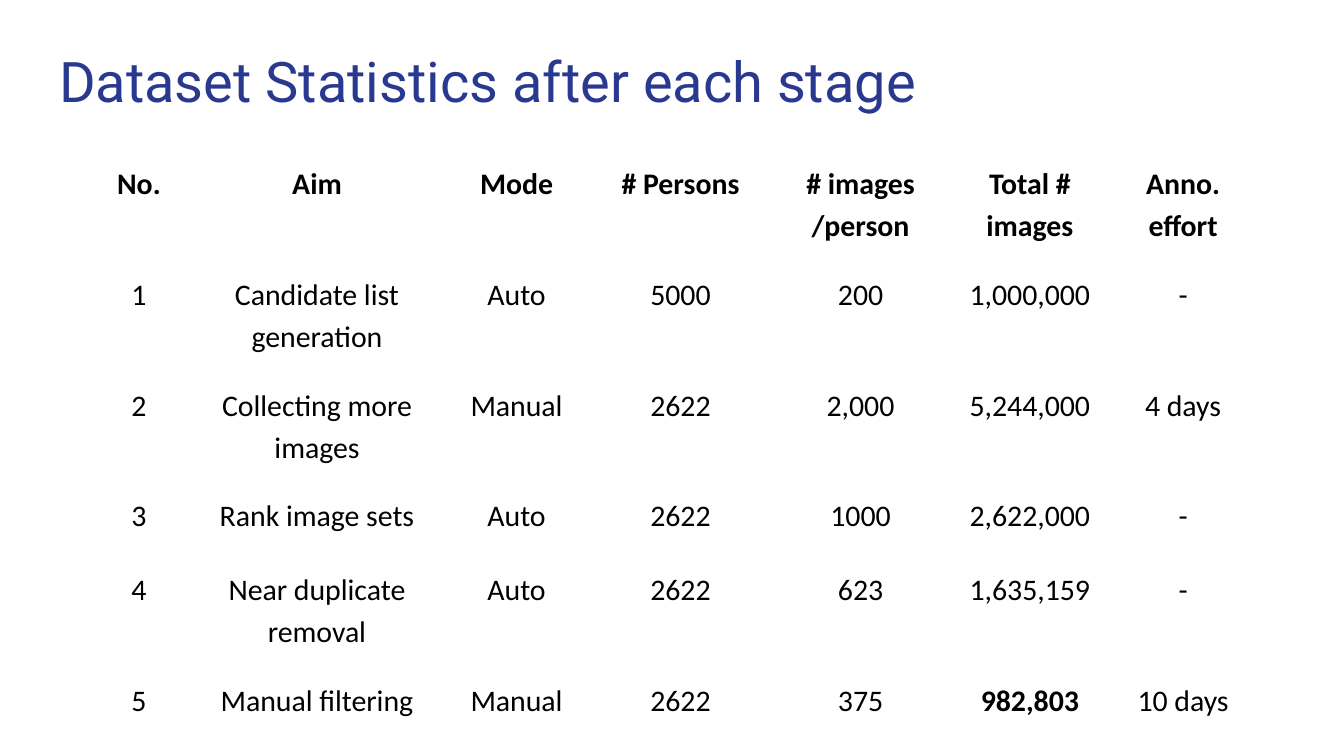
import pptx
import pptx.util
import pptx.dml.color
import pptx.enum.text

Inches, Pt = pptx.util.Inches, pptx.util.Pt
RGBColor = pptx.dml.color.RGBColor
Align = pptx.enum.text.PP_ALIGN
Anchor = pptx.enum.text.MSO_ANCHOR

NAVY = RGBColor(0x2A, 0x39, 0x90)
BLACK = RGBColor(0, 0, 0)
WIDE = Inches(10)
HIGH = WIDE * 9 // 16
PAD = Inches(0.1)

COLS = [0.8, 1.85, 1.12, 1.32, 1.36, 1.16, 1.12]
ROWS = [0.81, 0.81, 0.81, 0.55, 0.81, 0.5]
STAGES = [
    ["No.", "Aim", "Mode", "# Persons", "# images /person", "Total # images", "Anno. effort"],
    ["1", "Candidate list generation", "Auto", "5000", "200", "1,000,000", "-"],
    ["2", "Collecting more images", "Manual", "2622", "2,000", "5,244,000", "4 days"],
    ["3", "Rank image sets", "Auto", "2622", "1000", "2,622,000", "-"],
    ["4", "Near duplicate removal", "Auto", "2622", "623", "1,635,159", "-"],
    ["5", "Manual filtering", "Manual", "2622", "375", "982,803", "10 days"],
]
TOTAL = (5, 5)


def place(left, top, width, height):
    shares = zip((left, top, width, height), (WIDE, HIGH, WIDE, HIGH))
    return [round(share * size / 100) for share, size in shares]


def pad(item):
    item.margin_left = item.margin_right = PAD
    item.margin_top = item.margin_bottom = PAD


def write(para, text, face, size, color, bold=False):
    run = para.add_run()
    run.text = text
    font = run.font
    font.name, font.size, font.bold = face, Pt(size), bold
    font.color.rgb = color


def add_title(slide, box, text):
    title = slide.shapes.title
    title.left, title.top, title.width, title.height = box
    frame = title.text_frame
    frame.word_wrap = True
    frame.auto_size = pptx.enum.text.MSO_AUTO_SIZE.NONE
    frame.vertical_anchor = Anchor.MIDDLE
    pad(frame)
    para = frame.paragraphs[0]
    para.alignment = Align.LEFT
    write(para, text, "Roboto", 30, NAVY)


def add_stats(slide, box):
    width, height = box[2:]
    table = slide.shapes.add_table(len(ROWS), len(COLS), *box).table
    table.first_row = table.horz_banding = False
    for col, share in zip(table.columns, COLS):
        col.width = round(width * share / sum(COLS))
    for row, share in zip(table.rows, ROWS):
        row.height = round(height * share / sum(ROWS))
    for r, stage in enumerate(STAGES):
        for c, text in enumerate(stage):
            cell = table.cell(r, c)
            cell.fill.background()
            cell.vertical_anchor = Anchor.TOP
            pad(cell)
            para = cell.text_frame.paragraphs[0]
            para.alignment = Align.CENTER
            para.line_spacing = 1.15
            write(para, text, "Calibri", 16, BLACK, r == 0 or (r, c) == TOTAL)


def main():
    deck = pptx.Presentation()
    deck.slide_width, deck.slide_height = WIDE, HIGH
    slide = deck.slides.add_slide(deck.slide_layouts[5])
    add_stats(slide, place(6.34, 19.45, 87.3, 76.27))
    add_title(slide, place(3.4, -1.78, 66.1, 24.71), "Dataset Statistics after each stage")
    deck.save("out.pptx")


if __name__ == "__main__":
    main()
